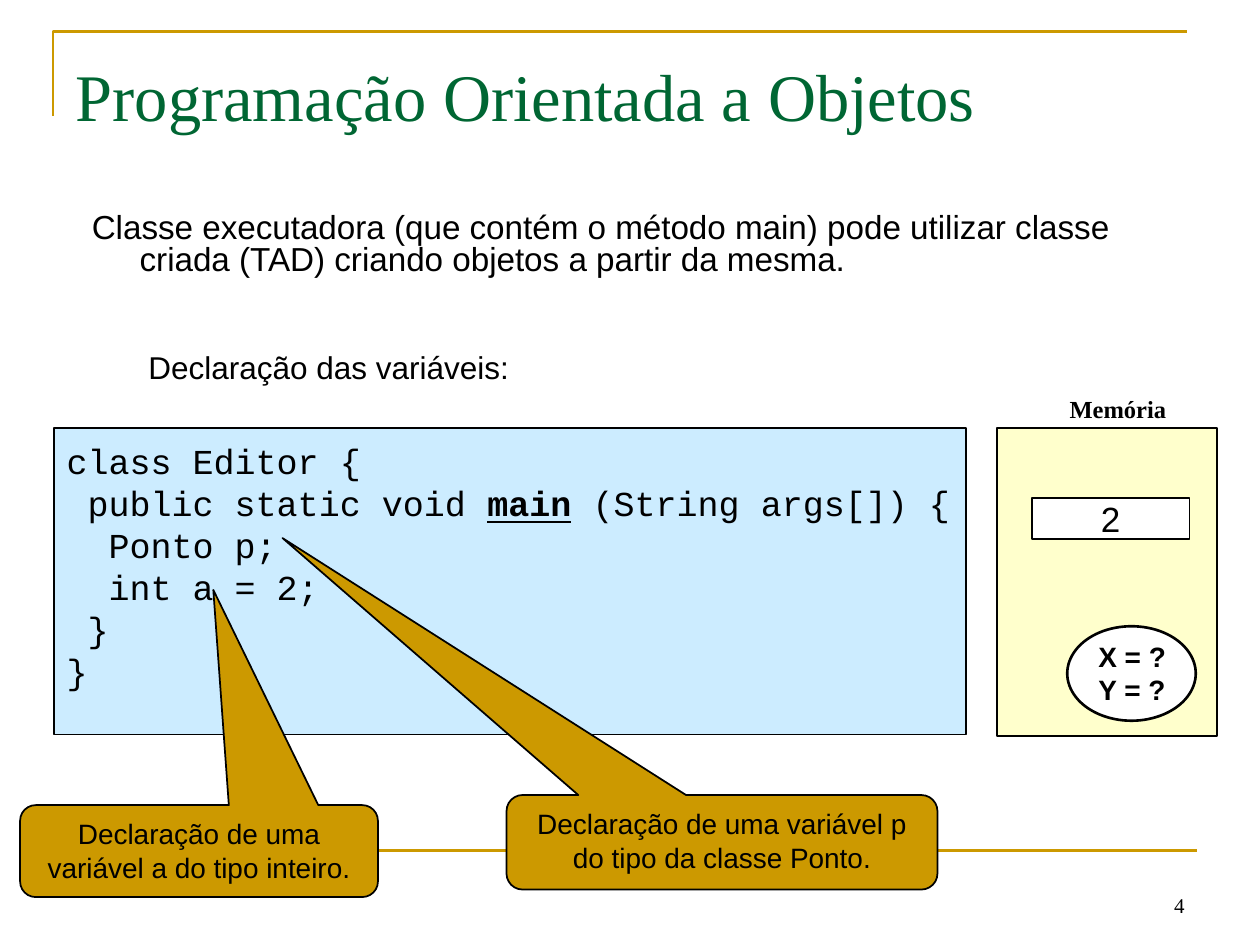
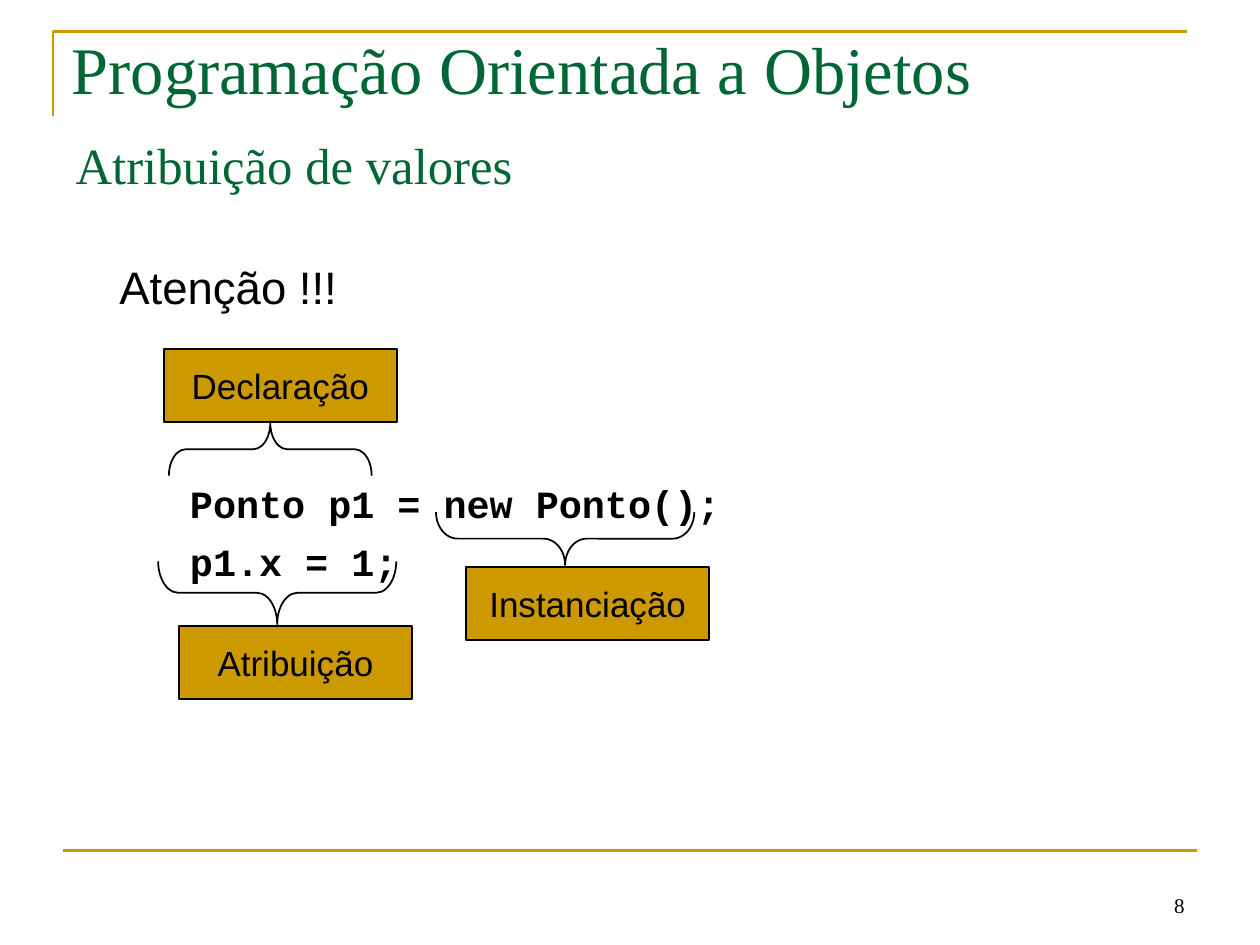
import lxml.etree
import pptx
import pptx.dml.color
import pptx.enum.shapes
import pptx.enum.text
import pptx.oxml.ns
import pptx.util

SHAPE = pptx.enum.shapes.MSO_SHAPE
ANCHOR = pptx.enum.text.MSO_ANCHOR
ALIGN = pptx.enum.text.PP_ALIGN

GOLD, GREEN, BLACK, WHITE = "CC9900", "006633", "000000", "FFFFFF"
PALE_BLUE, PALE_YELLOW = "CCECFF", "FFFFCC"
SANS, SERIF, MONO = "Arial", "Times New Roman", "Courier New"
COURSE = "Programação Orientada a Objetos"
COLUMNS, ROWS = 100, 75


def colour(code):
    return pptx.dml.color.RGBColor.from_string(code)


class Lesson:
    """Holds the style, the deck and the slide being drawn; areas are in grid columns and rows."""

    def __init__(self):
        self.deck = pptx.Presentation()
        self.deck.slide_width = pptx.util.Inches(10)
        self.deck.slide_height = pptx.util.Inches(7.5)
        self.page = None

    def x(self, columns):
        return round(self.deck.slide_width * columns / COLUMNS)

    def y(self, rows):
        return round(self.deck.slide_height * rows / ROWS)

    def area(self, left, top, width, height):
        return self.x(left), self.y(top), self.x(width), self.y(height)

    def start_page(self, number, title, title_area, **title_style):
        self.page = self.deck.slides.add_slide(self.deck.slide_layouts[5])
        self.corner()
        self.footer_rule()
        self.label(number, (71.7, 68.3, 23.3, 5), size=12, font=SERIF,
                   align=ALIGN.RIGHT, anchor=ANCHOR.BOTTOM)
        box = self.page.shapes.title
        box.left, box.top, box.width, box.height = self.area(*title_area)
        self.fill_text(box, title, font=SERIF, ink=GREEN, **title_style)

    def corner(self):
        builder = self.page.shapes.build_freeform(self.x(4.2), self.y(9.2))
        builder.add_line_segments([(self.x(4.2), self.y(2.5)),
                                   (self.x(94.2), self.y(2.5))], close=False)
        self.paint(builder.convert_to_shape(), None, GOLD, 1.5)

    def footer_rule(self):
        rule = self.page.shapes.add_connector(
            pptx.enum.shapes.MSO_CONNECTOR.STRAIGHT,
            self.x(5), self.y(67.5), self.x(95), self.y(67.5))
        rule.line.color.rgb = colour(GOLD)
        rule.line.width = pptx.util.Pt(1.5)
        lxml.etree.SubElement(rule._element.spPr, pptx.oxml.ns.qn("a:effectLst"))

    def paint(self, shape, fill, line=BLACK, weight=1):
        shape.shadow.inherit = False
        if fill:
            shape.fill.solid()
            shape.fill.fore_color.rgb = colour(fill)
        else:
            shape.fill.background()
        shape.line.color.rgb = colour(line)
        shape.line.width = pptx.util.Pt(weight)

    def fill_text(self, box, lines, size=16, font=SANS, ink=BLACK, bold=False,
                  align=ALIGN.LEFT, anchor=ANCHOR.TOP, wrap=True, inset=0.5,
                  spacing=None, before=0, hanging=0):
        """Fill a box; a line given as a tuple has every second part emphasised."""
        frame = box.text_frame
        frame.auto_size = pptx.enum.text.MSO_AUTO_SIZE.NONE
        frame.word_wrap, frame.vertical_anchor = wrap, anchor
        frame.margin_left = frame.margin_right = self.x(1)
        frame.margin_top = frame.margin_bottom = self.y(inset)
        for index, line in enumerate([lines] if isinstance(lines, str) else lines):
            para = frame.add_paragraph() if index else frame.paragraphs[0]
            para.alignment = align
            if index and before:
                para.space_before = pptx.util.Pt(before)
            if spacing:
                para.line_spacing = spacing
            if hanging:
                properties = para._p.get_or_add_pPr()
                properties.set("marL", str(self.x(hanging)))
                properties.set("indent", str(-self.x(hanging)))
            for part, text in enumerate([line] if isinstance(line, str) else line):
                span = para.add_run()
                span.text = text
                span.font.size = pptx.util.Pt(size)
                span.font.name = font
                span.font.color.rgb = colour(ink)
                span.font.bold = bold or part % 2 == 1
                span.font.underline = part % 2 == 1

    def label(self, lines, area, **style):
        self.fill_text(self.page.shapes.add_textbox(*self.area(*area)), lines, **style)

    def block(self, kind, area, fill, lines=None, weight=1, **style):
        shape = self.page.shapes.add_shape(kind, *self.area(*area))
        self.paint(shape, fill, weight=weight)
        if lines:
            self.fill_text(shape, lines, **style)
        return shape

    def callout(self, text, area, pointer):
        shape = self.block(SHAPE.ROUNDED_RECTANGULAR_CALLOUT, area, GOLD, text,
                           align=ALIGN.CENTER, spacing=pptx.util.Pt(19.4))
        for index, value in enumerate((*pointer, 0.17)):
            shape.adjustments[index] = value

    def tag(self, text, area):
        self.block(SHAPE.RECTANGLE, area, GOLD, text, size=20,
                   align=ALIGN.CENTER, anchor=ANCHOR.MIDDLE, wrap=False)

    def brace(self, left, top, length, depth, curl, upward=False):
        """Draw a horizontal brace: a right brace turned about its centre."""
        turn = (length - depth) / 2
        shape = self.block(SHAPE.RIGHT_BRACE,
                           (left + turn, top - turn, depth, length), None)
        shape.adjustments[0] = curl
        shape.rotation = 270 if upward else 90


def declaration_page(lesson):
    lesson.start_page("4", COURSE, (5, 3, 89.2, 9), size=38, anchor=ANCHOR.MIDDLE)
    lesson.label("Classe executadora (que contém o método main) pode utilizar classe "
                 "criada (TAD) criando objetos a partir da mesma.",
                 (6.3, 16.5, 83.9, 6.7), size=19, spacing=0.8, hanging=3.8)
    lesson.label("Declaração das variáveis:", (10.8, 27.1, 30.6, 4), size=18, wrap=False)
    lesson.block(SHAPE.RECTANGLE, (4.3, 34, 72.4, 24.3), PALE_BLUE, [
        "class Editor {",
        (" public static void ", "main", " (String args[]) {"),
        "  Ponto p;",
        "  int a = 2;",
        " }",
        "}",
    ], size=20, font=MONO, wrap=False, inset=0.9, spacing=pptx.util.Pt(24))
    lesson.callout("Declaração de uma variável p do tipo da classe Ponto.",
                   (40.2, 63.1, 34.2, 7.5), (-1.02, -3.22))
    lesson.callout("Declaração de uma variável a do tipo inteiro.",
                   (1.6, 63.9, 28.4, 7.3), (0.04, -2.84))

    lesson.label("Memória", (83.9, 30.8, 9.7, 3.4), size=14, font=SERIF,
                 bold=True, wrap=False)
    lesson.block(SHAPE.RECTANGLE, (79.1, 34, 17.5, 24.4), PALE_YELLOW)
    lesson.block(SHAPE.RECTANGLE, (81.9, 39.5, 12.5, 3.3), WHITE, "2", size=20,
                 align=ALIGN.CENTER, anchor=ANCHOR.MIDDLE, wrap=False)
    lesson.block(SHAPE.OVAL, (84.7, 49.7, 10.2, 7.5), WHITE, ["X = ?", "Y = ?"],
                 weight=1.5, bold=True, wrap=False, inset=0,
                 spacing=pptx.util.Pt(19))


def assignment_page(lesson):
    lesson.start_page("8", "Atribuição de valores", (5, 10.1, 43.4, 5.4), size=29)
    lesson.label(COURSE, (4.7, 0, 89.2, 10.8), size=38, font=SERIF, ink=GREEN,
                 anchor=ANCHOR.MIDDLE)
    lesson.label("Atenção !!!", (8.5, 20.1, 40, 6), size=26)
    lesson.label(["Ponto p1 = new Ponto();", "p1.x = 1;"], (14.1, 37.6, 50, 10),
                 size=22, font=MONO, bold=True, before=7)
    lesson.brace(13.4, 33.55, 16.1, 4.2, 0.32, upward=True)
    lesson.brace(34.6, 40.65, 20.5, 4.2, 0.41)
    lesson.brace(12.55, 44.55, 18.9, 5, 0.32)
    lesson.tag("Declaração", (13, 27.7, 18.5, 5.8))
    lesson.tag("Instanciação", (37, 45, 19.3, 5.8))
    lesson.tag("Atribuição", (14.2, 49.7, 18.5, 5.8))


def main():
    lesson = Lesson()
    declaration_page(lesson)
    assignment_page(lesson)
    lesson.deck.save("out.pptx")


if __name__ == "__main__":
    main()
